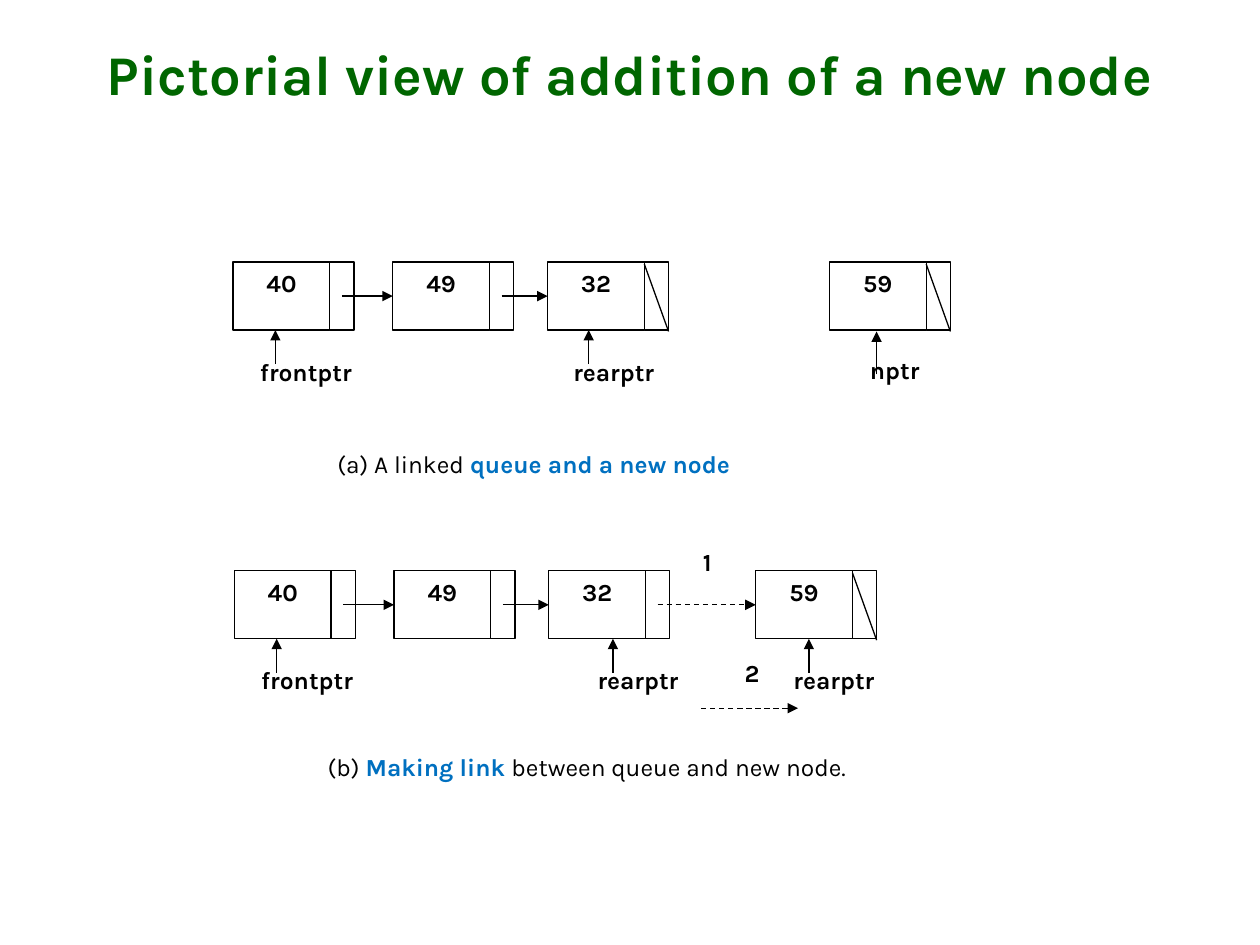
import pptx
import pptx.util
import pptx.dml.color
import pptx.enum.dml
import pptx.enum.shapes
import pptx.enum.text
import pptx.oxml.ns
import lxml.etree

Inches = pptx.util.Inches
Pt = pptx.util.Pt
RGBColor = pptx.dml.color.RGBColor
ALIGN = pptx.enum.text.PP_ALIGN

GREEN = RGBColor(0x00, 0x66, 0x00)
BLUE = RGBColor(0x00, 0x70, 0xC0)
BLACK = RGBColor(0x00, 0x00, 0x00)
WHITE = RGBColor(0xFF, 0xFF, 0xFF)
FONT = "Karla"
NODE_W, NODE_H = Inches(0.96), Inches(0.54)
DATA_SHARE = 0.8
LABEL_W, TEXT_H = 1.2, 1.13


def style(font, size, color, bold):
    font.name, font.size, font.bold = FONT, Pt(size), bold
    font.color.rgb = color


class Panel:
    """A diagram region measured in node widths and node heights."""

    def __init__(self, s, left, top):
        self.s, self.left, self.top = s, left, top

    def point(self, col, row):
        return int(self.left + col * NODE_W), int(self.top + row * NODE_H)

    def size(self, cols, rows):
        return int(cols * NODE_W), int(rows * NODE_H)

    def text(self, sp, runs, align=ALIGN.CENTER):
        tf = sp.text_frame
        tf.word_wrap = True
        tf.vertical_anchor = pptx.enum.text.MSO_ANCHOR.TOP
        p = tf.paragraphs[0]
        p.alignment = align
        for words, color, bold in runs:
            r = p.add_run()
            r.text = words
            style(r.font, 14, color, bold)

    def note(self, col, row, cols, runs, align=ALIGN.CENTER):
        sp = self.s.shapes.add_textbox(*self.point(col, row), *self.size(cols, TEXT_H))
        self.text(sp, runs, align)

    def rect(self, col, row, cols, rows, outlined=True):
        sp = self.s.shapes.add_shape(pptx.enum.shapes.MSO_SHAPE.RECTANGLE,
                                     *self.point(col, row), *self.size(cols, rows))
        sp.shadow.inherit = False
        sp.fill.solid()
        sp.fill.fore_color.rgb = WHITE
        if outlined:
            sp.line.color.rgb = BLACK
            sp.line.width = Pt(0.75)
        else:
            sp.line.fill.background()
        return sp

    def line(self, start, end, arrow=True, dashed=False, target=None):
        cx = self.s.shapes.add_connector(pptx.enum.shapes.MSO_CONNECTOR.STRAIGHT,
                                         *self.point(*start), *self.point(*end))
        if target is not None:
            cx.end_connect(target, 1)
        cx.line.color.rgb = BLACK
        cx.line.width = Pt(0.75)
        if dashed:
            cx.line.dash_style = pptx.enum.dml.MSO_LINE.DASH
        qn = pptx.oxml.ns.qn
        if arrow:
            lxml.etree.SubElement(cx.line._get_or_add_ln(), qn("a:tailEnd"), type="triangle")
        lxml.etree.SubElement(cx._element.spPr, qn("a:effectLst"))

    def node(self, col, value, last=False):
        data = self.rect(col, 0, DATA_SHARE, 1)
        self.text(data, [(value, BLACK, True)])
        self.rect(col + DATA_SHARE, 0, 1 - DATA_SHARE, 1)
        if last:
            self.line((col + DATA_SHARE, 0.03), (col + 1, 1.02), arrow=False)
        return data

    def link(self, col, next_col, target, dashed=False):
        self.line((col + (1 + DATA_SHARE) / 2, 0.5), (next_col, 0.5),
                  dashed=dashed, target=target)

    def pointer(self, col, name):
        sp = self.rect(col, 1.3, LABEL_W, TEXT_H, outlined=False)
        self.text(sp, [(name, BLACK, True)], ALIGN.LEFT)
        self.line((col + 0.23, 1.5), (col + 0.23, 1))


def add_title(s, words, left, top, width, height):
    sp = s.shapes.title
    sp.left, sp.top, sp.width, sp.height = left, top, width, height
    tf = sp.text_frame
    tf.text = words
    tf.auto_size = pptx.enum.text.MSO_AUTO_SIZE.NONE
    tf.vertical_anchor = pptx.enum.text.MSO_ANCHOR.MIDDLE
    p = tf.paragraphs[0]
    p.alignment = ALIGN.CENTER
    style(p.font, 32, GREEN, True)


def add_queue(panel, last):
    cols = (0, 1.32, 2.6)
    nodes = [panel.node(col, value, last and col == cols[-1])
             for col, value in zip(cols, ("40", "49", "32"))]
    for col, next_col, target in zip(cols, cols[1:], nodes[1:]):
        panel.link(col, next_col, target)
    panel.pointer(0.12, "frontptr")
    return cols[-1]


def add_before(s, left, top):
    panel = Panel(s, left, top)
    add_queue(panel, last=True)
    panel.pointer(2.71, "rearptr")
    panel.node(4.93, "59", last=True)
    panel.line((5.32, 1.65), (5.32, 1.02))
    panel.note(5.07, 1.28, DATA_SHARE, [("nptr", BLACK, True)])
    panel.note(0.76, 2.65, 3.9, [("(a) A linked ", BLACK, False),
                                 ("queue and a new node", BLUE, True)], ALIGN.LEFT)


def add_after(s, left, top):
    panel = Panel(s, left, top)
    rear = add_queue(panel, last=False)
    new = 4.31
    panel.link(rear, new, panel.node(new, "59", last=True), dashed=True)
    for col in (2.9, 4.52):
        panel.pointer(col, "rearptr")
    panel.line((3.86, 2.02), (4.66, 2.02), dashed=True)
    for col, row, step in ((3.51, -0.44, "1"), (3.88, 1.19, "2")):
        panel.note(col, row, DATA_SHARE, [(step, BLACK, True)])
    panel.note(0.67, 2.57, 4.95, [("(b) ", BLACK, False), ("Making link ", BLUE, True),
                                  ("between queue and new node.", BLACK, False)], ALIGN.LEFT)


def main():
    prs = pptx.Presentation()
    prs.slide_width, prs.slide_height = Inches(10), Inches(7.5)
    s = prs.slides.add_slide(prs.slide_layouts[5])
    add_title(s, "Pictorial view of addition of a new node",
              Inches(0.5), Inches(0.08), Inches(9), Inches(1))
    add_before(s, Inches(1.85), Inches(2.08))
    add_after(s, Inches(1.86), Inches(4.53))
    prs.save("out.pptx")


if __name__ == "__main__":
    main()
